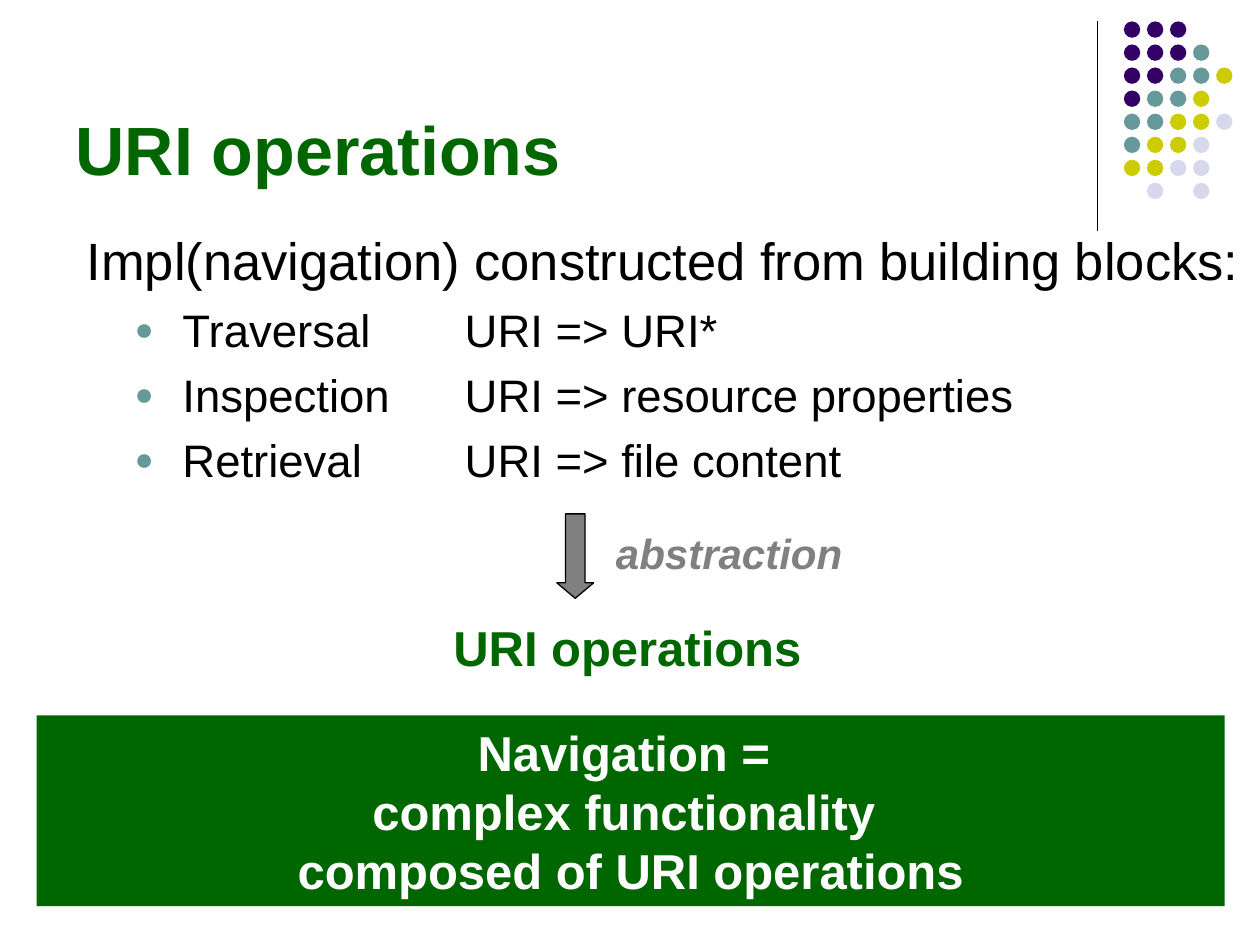
from typing import NamedTuple

from lxml import etree
from pptx import Presentation
from pptx.dml.color import RGBColor
from pptx.enum.shapes import MSO_CONNECTOR, MSO_SHAPE
from pptx.enum.text import MSO_ANCHOR, MSO_AUTO_SIZE, PP_ALIGN
from pptx.oxml.ns import qn
from pptx.util import Emu, Inches, Pt

LEFT, CENTER = PP_ALIGN.LEFT, PP_ALIGN.CENTER
TOP, MIDDLE, BOTTOM = MSO_ANCHOR.TOP, MSO_ANCHOR.MIDDLE, MSO_ANCHOR.BOTTOM
OVAL, RECTANGLE, ARROW = MSO_SHAPE.OVAL, MSO_SHAPE.RECTANGLE, MSO_SHAPE.RIGHT_ARROW
STRAIGHT = MSO_CONNECTOR.STRAIGHT
NO_AUTOFIT = MSO_AUTO_SIZE.NONE

FONT = "Arial"
TITLE_ONLY = 5
WIDTH, HEIGHT = Inches(10), Inches(7.5)
COLORS = {
    "purple": "330066", "teal": "669999", "yellow": "CCCC00", "lavender": "D8D8EC",
    "green": "006600", "gray": "808080", "black": "000000", "white": "FFFFFF",
}

# Dot ornament: one letter per dot, a space where the grid is empty
DOT_ROWS = ["PPP", "PPPT", "PPTTY", "PTTY", "TTYYL", "TYYL", "YYLL", " L L"]
DOT_COLORS = {"P": "purple", "T": "teal", "Y": "yellow", "L": "lavender"}
DOT_LEFT, DOT_TOP, DOT_PITCH, DOT_SIZE = 8.92, 0.17, 0.183, 0.13

OPERATIONS = [
    ("Traversal", "URI => URI*"),
    ("Inspection", "URI => resource properties"),
    ("Retrieval", "URI => file content"),
]
BANNER_LINES = ["Navigation = ", "complex functionality ", "composed of URI operations"]


class Box(NamedTuple):
    """Left, top, width and height as shares of the slide's size."""
    left: float
    top: float
    width: float
    height: float

    def lengths(self) -> tuple:
        return (Emu(int(self.left * WIDTH)), Emu(int(self.top * HEIGHT)),
                Emu(int(self.width * WIDTH)), Emu(int(self.height * HEIGHT)))


class Style(NamedTuple):
    size: float
    color: str
    bold: bool = False
    italic: bool = False
    align: PP_ALIGN = LEFT


class Label(NamedTuple):
    text: str
    box: Box
    style: Style


TITLE_BOX = Box(0.05, 0.017, 0.825, 0.19)
BODY_BOX = Box(0.059, 0.235, 0.993, 0.643)
ARROW_BOX = Box(0.423, 0.569, 0.067, 0.039)
BANNER_BOX = Box(0.029, 0.757, 0.943, 0.202)
LABELS = [
    Label("abstraction", Box(0.479, 0.552, 0.202, 0.067), Style(24, "gray", True, True)),
    Label("URI operations", Box(0.35, 0.647, 0.3, 0.076), Style(28, "green", True)),
]


def rgb(name: str) -> RGBColor:
    return RGBColor.from_string(COLORS[name])


def format_paragraph(paragraph, style: Style) -> None:
    paragraph.alignment = style.align
    for run in paragraph.runs:
        font = run.font
        font.name, font.size = FONT, Pt(style.size)
        font.bold, font.italic = style.bold, style.italic
        font.color.rgb = rgb(style.color)


def write(shape, lines: list, style: Style, anchor: MSO_ANCHOR, wrap: bool = True) -> None:
    text_frame = shape.text_frame
    text_frame.text = "\n".join(lines)
    text_frame.word_wrap = wrap
    text_frame.auto_size = NO_AUTOFIT
    text_frame.vertical_anchor = anchor
    for paragraph in text_frame.paragraphs:
        format_paragraph(paragraph, style)


def add_filled(slide, kind: MSO_SHAPE, lengths: tuple, color: str):
    shape = slide.shapes.add_shape(kind, *lengths)
    shape.shadow.inherit = False
    shape.fill.solid()
    shape.fill.fore_color.rgb = rgb(color)
    shape.line.fill.background()
    return shape


def add_bullet(paragraph) -> None:
    """Hanging round bullet and a tab stop for the second column."""
    properties = paragraph._p.get_or_add_pPr()
    properties.set("marL", str(Inches(0.76)))
    properties.set("indent", str(Inches(-0.38)))
    color = etree.SubElement(properties, qn("a:buClr"))
    etree.SubElement(color, qn("a:srgbClr"), val=COLORS["teal"])
    etree.SubElement(properties, qn("a:buSzPct"), val="70000")
    etree.SubElement(properties, qn("a:buFont"), typeface=FONT)
    etree.SubElement(properties, qn("a:buChar"), char="●")
    tabs = etree.SubElement(properties, qn("a:tabLst"))
    etree.SubElement(tabs, qn("a:tab"), pos=str(Inches(3)), algn="l")


def add_ornament(slide) -> None:
    rule = slide.shapes.add_connector(
        STRAIGHT, Inches(8.71), Inches(0.17), Inches(8.71), Inches(1.83))
    rule.line.color.rgb = rgb("black")
    rule.line.width = Pt(0.75)
    etree.SubElement(rule._element.spPr, qn("a:effectLst"))
    for row, letters in enumerate(DOT_ROWS):
        for column, letter in enumerate(letters):
            if letter in DOT_COLORS:
                lengths = (Inches(DOT_LEFT + column * DOT_PITCH),
                           Inches(DOT_TOP + row * DOT_PITCH),
                           Inches(DOT_SIZE), Inches(DOT_SIZE))
                add_filled(slide, OVAL, lengths, DOT_COLORS[letter])


def add_body(slide) -> None:
    body = slide.shapes.add_textbox(*BODY_BOX.lengths())
    lines = ["Impl(navigation) constructed from building blocks:"]
    lines += ["\t".join(operation) for operation in OPERATIONS]
    write(body, lines, Style(30, "black"), TOP)
    for paragraph in body.text_frame.paragraphs:
        paragraph.space_before = Pt(6)
    for paragraph in body.text_frame.paragraphs[1:]:
        paragraph.level = 1
        format_paragraph(paragraph, Style(26, "black"))
        add_bullet(paragraph)


def add_arrow(slide) -> None:
    arrow = add_filled(slide, ARROW, ARROW_BOX.lengths(), "gray")
    arrow.rotation = 90
    arrow.adjustments[0], arrow.adjustments[1] = 0.53, 0.42
    arrow.line.color.rgb = rgb("black")
    arrow.line.width = Pt(0.75)


def main() -> None:
    presentation = Presentation()
    presentation.slide_width, presentation.slide_height = WIDTH, HEIGHT
    slide = presentation.slides.add_slide(presentation.slide_layouts[TITLE_ONLY])

    # Title and ornament
    add_ornament(slide)
    title = slide.shapes.title
    title.left, title.top, title.width, title.height = TITLE_BOX.lengths()
    write(title, ["URI operations"], Style(39, "green", True), BOTTOM)

    # Building blocks and their abstraction
    add_body(slide)
    for label in LABELS:
        text_box = slide.shapes.add_textbox(*label.box.lengths())
        write(text_box, [label.text], label.style, TOP, wrap=False)
    add_arrow(slide)

    # Conclusion
    banner = add_filled(slide, RECTANGLE, BANNER_BOX.lengths(), "green")
    write(banner, BANNER_LINES, Style(28, "white", True, align=CENTER), MIDDLE)

    presentation.save("out.pptx")


if __name__ == "__main__":
    main()
